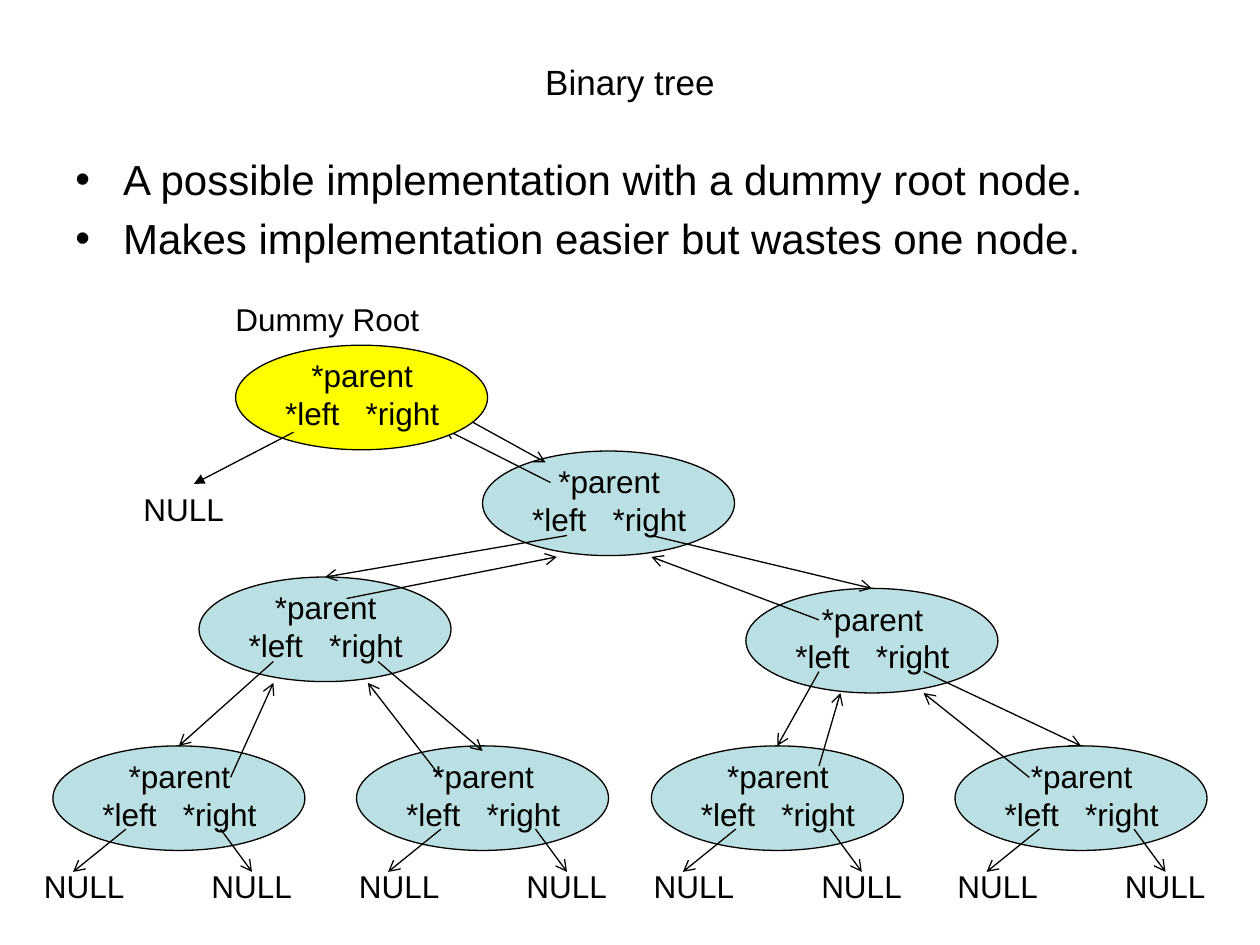
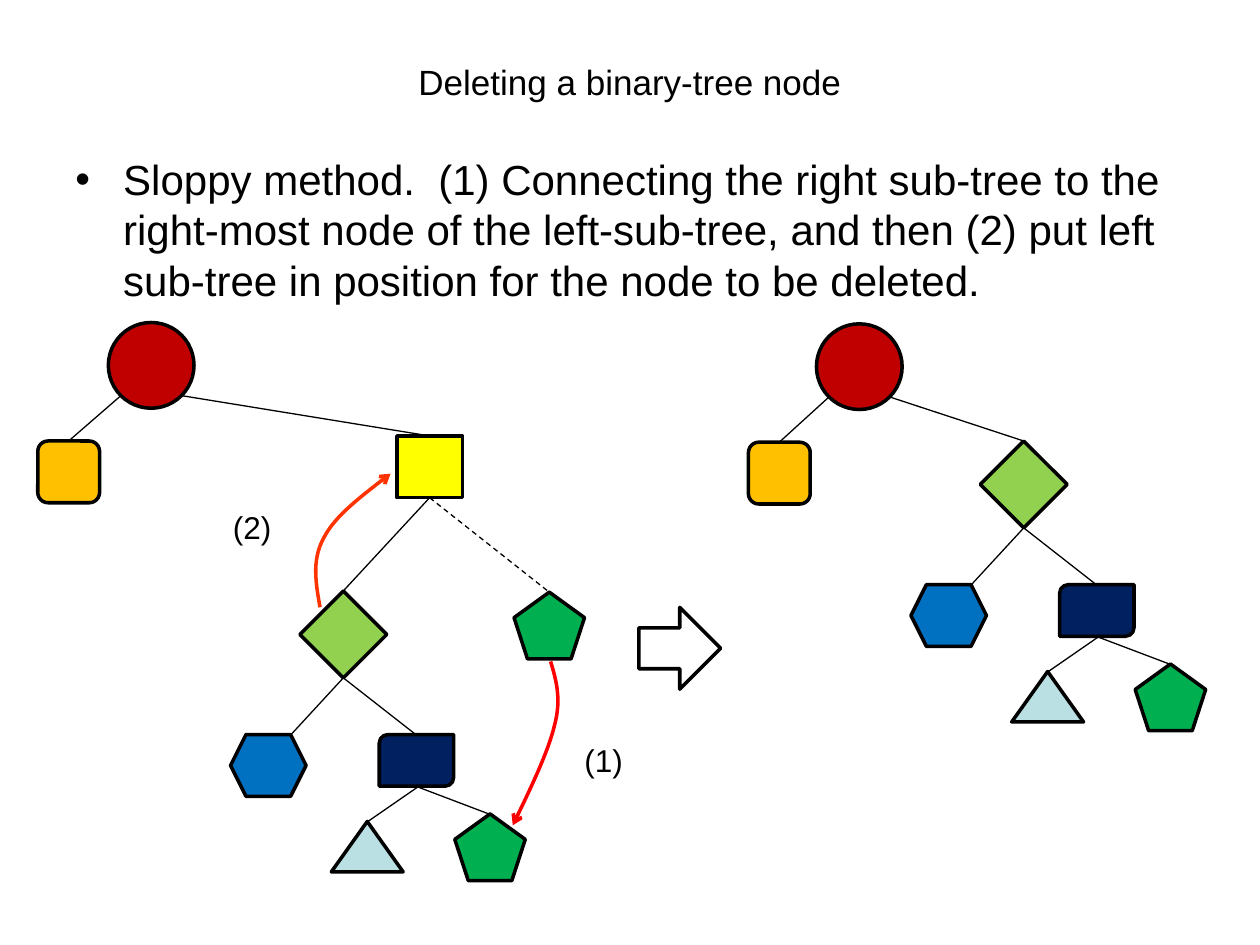
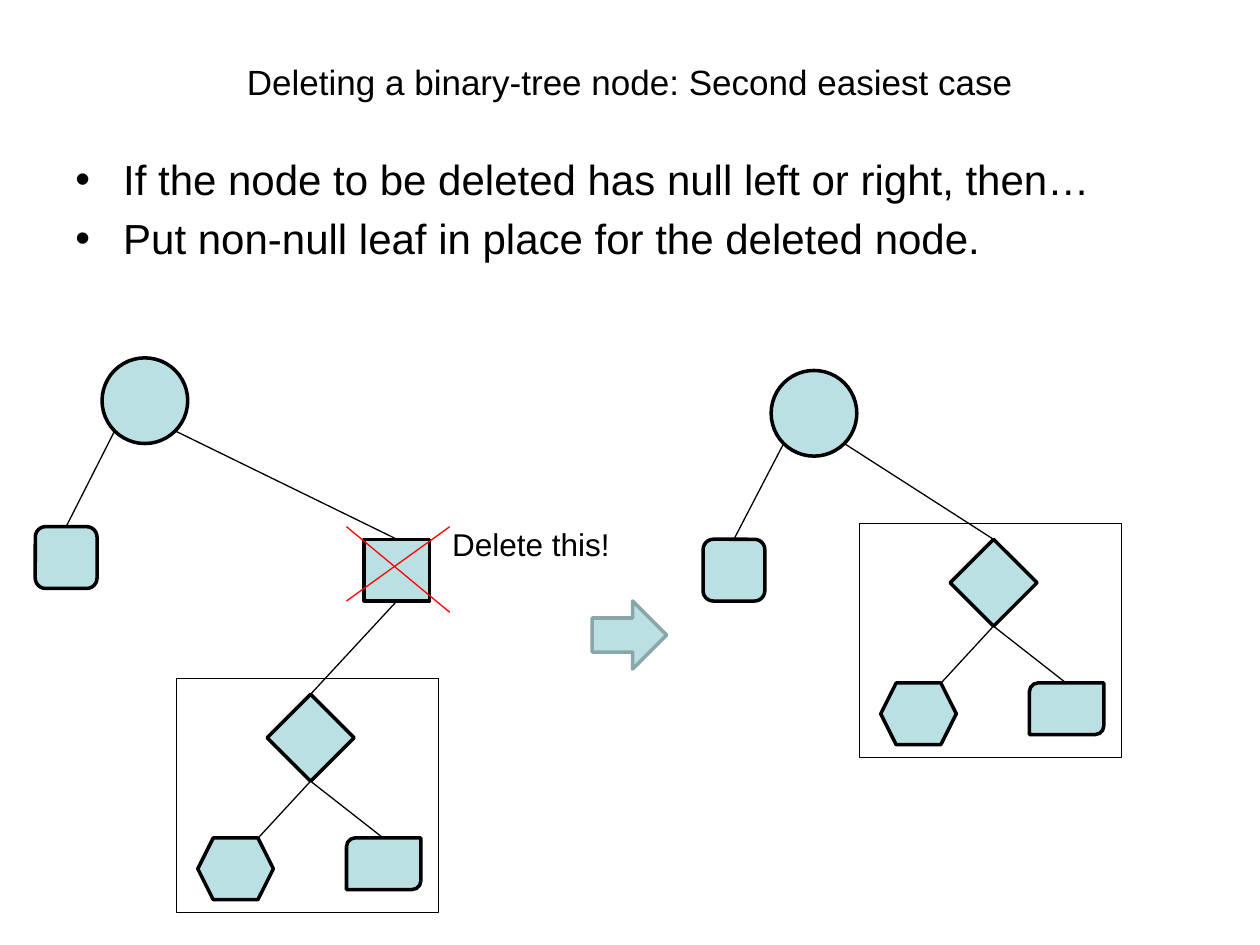
import pptx
import pptx.dml.color
import pptx.enum.dml
import pptx.enum.shapes
import pptx.enum.text
import pptx.oxml.ns
import pptx.util
from lxml import etree

Inches = pptx.util.Inches
Kind = pptx.enum.shapes.MSO_SHAPE
Align = pptx.enum.text.PP_ALIGN
qn = pptx.oxml.ns.qn

# Shared style
FONT = "Arial"
BLACK, PALE, YELLOW, RED, ORANGE = "000000", "BBE0E3", "FFFF00", "FF0000", "FF3300"
THIN, THICK, HAIRLINE = 0.75, 2, 0.25
TOP, BOTTOM = 0, 2
TREE_COLOURS = {
    Kind.OVAL: "C00000",
    Kind.ROUNDED_RECTANGLE: "FFC000",
    Kind.RECTANGLE: YELLOW,
    Kind.DIAMOND: "92D050",
    Kind.HEXAGON: "0070C0",
    Kind.ROUND_2_DIAG_RECTANGLE: "002060",
    Kind.REGULAR_PENTAGON: "00B050",
    Kind.ISOSCELES_TRIANGLE: PALE,
}
PLAIN_COLOURS = dict.fromkeys(TREE_COLOURS, PALE)
NODE_SIZES = {
    Kind.OVAL: (0.68, 0.68),
    Kind.ROUNDED_RECTANGLE: (0.49, 0.49),
    Kind.RECTANGLE: (0.52, 0.49),
    Kind.DIAMOND: (0.69, 0.69),
    Kind.HEXAGON: (0.6, 0.49),
    Kind.ROUND_2_DIAG_RECTANGLE: (0.59, 0.41),
    Kind.REGULAR_PENTAGON: (0.56, 0.53),
    Kind.ISOSCELES_TRIANGLE: (0.57, 0.4),
}


def colour(value):
    return pptx.dml.color.RGBColor.from_string(value)


# Text
def add_text(slide, left, top, width, height, lines, size=18, align=Align.LEFT,
             wrap=True, grow=True):
    box = slide.shapes.add_textbox(*map(Inches, (left, top, width, height)))
    frame = box.text_frame
    frame.word_wrap = wrap
    if grow:
        frame.auto_size = pptx.enum.text.MSO_AUTO_SIZE.SHAPE_TO_FIT_TEXT
    for number, line in enumerate(lines):
        para = frame.add_paragraph() if number else frame.paragraphs[0]
        para.alignment = align
        span = para.add_run()
        span.text = line
        span.font.name = FONT
        span.font.size = pptx.util.Pt(size)
        span.font.color.rgb = colour(BLACK)
    return frame


def add_bullet(para):
    para.space_before = pptx.util.Pt(4.8)
    properties = para._p.get_or_add_pPr()
    properties.set("marL", str(Inches(0.38)))
    properties.set("indent", str(-Inches(0.38)))
    etree.SubElement(properties, qn("a:buFont")).set("typeface", FONT)
    etree.SubElement(properties, qn("a:buChar")).set("char", "•")


def add_page(deck, title, bullets):
    page = deck.slides.add_slide(deck.slide_layouts[6])
    heading = add_text(page, 0.5, 0.3, 9, 0.7, [title], 20, Align.CENTER, grow=False)
    heading.vertical_anchor = pptx.enum.text.MSO_ANCHOR.MIDDLE
    body = add_text(page, 0.5, 1.17, 9, 5.53, bullets, 24, grow=False)
    for para in body.paragraphs:
        add_bullet(para)
    return page


# Shapes and lines
def style_shape(shape, fill, line, weight):
    shape.shadow.inherit = False
    if fill:
        shape.fill.solid()
        shape.fill.fore_color.rgb = colour(fill)
    else:
        shape.fill.background()
    style_line(shape, line, weight)


def style_line(shape, line, weight):
    shape.line.color.rgb = colour(line)
    shape.line.width = pptx.util.Pt(weight)


def add_arrowhead(shape, head):
    outline = shape._element.spPr.find(qn("a:ln"))
    etree.SubElement(outline, qn("a:tailEnd")).set("type", head)


def add_shape(page, kind, left, top, width, height, fill=None, line=BLACK, weight=THICK):
    shape = page.shapes.add_shape(kind, *map(Inches, (left, top, width, height)))
    style_shape(shape, fill, line, weight)
    return shape


def add_line(page, start, end, line=BLACK, head=None, dashed=False,
             start_shape=None, end_shape=None):
    """Joins the bottom of start_shape and the top of end_shape when given."""
    connector = page.shapes.add_connector(
        pptx.enum.shapes.MSO_CONNECTOR.STRAIGHT, *map(Inches, (*start, *end)))
    if start_shape is not None:
        connector.begin_connect(start_shape, BOTTOM)
    if end_shape is not None:
        connector.end_connect(end_shape, TOP)
    style_line(connector, line, THIN)
    if dashed:
        connector.line.dash_style = pptx.enum.dml.MSO_LINE.DASH
    if head:
        add_arrowhead(connector, head)
    etree.SubElement(connector._element.spPr, qn("a:effectLst"))


def bezier_points(start, control_1, control_2, end, steps=16):
    for step in range(1, steps + 1):
        t = step / steps
        weights = ((1 - t) ** 3, 3 * t * (1 - t) ** 2, 3 * t * t * (1 - t), t ** 3)
        corners = (start, control_1, control_2, end)
        yield tuple(Inches(sum(w * corner[axis] for w, corner in zip(weights, corners)))
                    for axis in (0, 1))


def add_curved_arrow(page, line, first, *rest):
    """Draws chained cubic curves; each takes three of the remaining points."""
    builder = page.shapes.build_freeform(*map(Inches, first))
    chain = (first, *rest)
    for index in range(0, len(rest), 3):
        builder.add_line_segments(list(bezier_points(*chain[index:index + 4])), close=False)
    curve = builder.convert_to_shape()
    style_shape(curve, None, line, THICK)
    add_arrowhead(curve, "arrow")


# Pointer nodes
def add_pointer_node(page, left, top, fill=PALE):
    add_shape(page, Kind.OVAL, left, top, 2, 0.83, fill, weight=THIN)
    add_text(page, left + 0.17, top + 0.04, 1.67, 0.71,
             ["*parent", "*left   *right"], align=Align.CENTER)


def add_null(page, left, top):
    add_text(page, left, top, 1, 0.42, ["NULL"])


def add_null_children(page, left):
    for start, end, label in ((0.67, 0.25, -0.08), (1.42, 1.67, 1.25)):
        add_line(page, (left + start, 6.58), (left + end, 6.92), head="arrow")
        add_null(page, left + label, 6.83)


# Tree parts
def add_node(page, kind, left, top, colours):
    return add_shape(page, kind, left, top, *NODE_SIZES[kind], colours[kind])


def add_root(page, left, top, leaf_at, child, child_at, colours):
    """Draws the root with its left leaf, and links it to the right child."""
    add_node(page, Kind.OVAL, left, top, colours)
    leaf = add_node(page, Kind.ROUNDED_RECTANGLE, *leaf_at, colours)
    right = add_node(page, child, *child_at, colours)
    for offset, node in ((0.1, leaf), (0.58, right)):
        start = (left + offset, top + 0.58)
        add_line(page, start, start, end_shape=node)
    return right


def add_children(page, diamond, left, top, colours):
    add_node(page, Kind.HEXAGON, left - 0.55, top + 1.14, colours)
    add_node(page, Kind.ROUND_2_DIAG_RECTANGLE, left + 0.63, top + 1.14, colours)
    for end in (-0.07, 0.92):
        add_line(page, (left + 0.35, top + 0.69), (left + end, top + 1.14),
                 start_shape=diamond)


def add_grandchildren(page, left, top, colours):
    add_node(page, Kind.REGULAR_PENTAGON, left + 1.23, top + 1.77, colours)
    add_line(page, (left + 0.92, top + 1.55), (left + 1.5, top + 1.77))
    add_line(page, (left + 0.93, top + 1.56), (left + 0.54, top + 1.83))
    add_node(page, Kind.ISOSCELES_TRIANGLE, left + 0.25, top + 1.83, colours)


# Slides
def build_dummy_root(deck):
    page = add_page(deck, "Binary tree", [
        "A possible implementation with a dummy root node.",
        "Makes implementation easier but wastes one node."])
    for left, top in ((3.83, 3.58), (1.58, 4.58), (5.92, 4.67),
                      (0.42, 5.92), (2.83, 5.92), (5.17, 5.92), (7.58, 5.92)):
        add_pointer_node(page, left, top)
    arrows = (
        # Dummy root and top node
        ((4.37, 3.83), (3.52, 3.4)), ((3.75, 3.35), (4.33, 3.67)),
        # Top node and its children
        ((4.5, 4.25), (2.58, 4.58)), ((5.17, 4.25), (6.92, 4.67)),
        ((2.75, 4.75), (4.42, 4.42)), ((6.5, 4.92), (5.17, 4.42)),
        # Left node and its children
        ((2.17, 5.25), (1.42, 5.92)), ((3, 5.25), (3.83, 5.96)),
        ((1.83, 6.17), (2.17, 5.42)), ((3.5, 6.17), (2.92, 5.42)),
        # Right node and its children
        ((6.5, 5.33), (6.17, 5.92)), ((7.33, 5.33), (8.58, 5.92)),
        ((6.5, 6.08), (6.67, 5.5)), ((8.17, 6.17), (7.33, 5.5)),
    )
    for start, end in arrows:
        add_line(page, start, end, head="arrow")
    for left in (0.33, 2.83, 5.17, 7.58):
        add_null_children(page, left)
    add_text(page, 1.77, 2.33, 1.67, 0.4, ["Dummy Root"], wrap=False)
    add_pointer_node(page, 1.87, 2.74, YELLOW)
    add_line(page, (2.33, 3.43), (1.54, 3.84), head="triangle")
    add_null(page, 1.04, 3.84)


def build_sloppy_method(deck):
    page = add_page(deck, "Deleting a binary-tree node", [
        "Sloppy method.  (1) Connecting the right sub-tree to the right-most node of "
        "the left-sub-tree, and then (2) put left sub-tree in position for the node "
        "to be deleted."])
    colours = TREE_COLOURS
    # Before
    deleted = add_root(page, 0.86, 2.56, (0.3, 3.5), Kind.RECTANGLE, (3.15, 3.46), colours)
    diamond = add_node(page, Kind.DIAMOND, 2.38, 4.69, colours)
    add_node(page, Kind.REGULAR_PENTAGON, 4.08, 4.7, colours)
    add_line(page, (3.41, 3.95), (2.73, 4.69), start_shape=deleted, end_shape=diamond)
    add_line(page, (3.41, 3.95), (4.36, 4.7), dashed=True, start_shape=deleted)
    add_children(page, diamond, 2.38, 4.69, colours)
    add_grandchildren(page, 2.38, 4.69, colours)
    # Steps
    add_curved_arrow(page, RED, (4.37, 5.25), (4.41, 5.39), (4.46, 5.54), (4.4, 5.76),
                     (4.35, 5.97), (4.21, 6.26), (4.07, 6.55))
    add_curved_arrow(page, ORANGE, (2.54, 4.82), (2.51, 4.64), (2.47, 4.45), (2.57, 4.27),
                     (2.66, 4.09), (2.88, 3.93), (3.1, 3.76))
    add_text(page, 4.54, 5.83, 0.68, 0.4, ["(1)"])
    add_text(page, 1.75, 3.98, 0.68, 0.4, ["(2)"])
    add_shape(page, Kind.RIGHT_ARROW, 5.07, 4.82, 0.65, 0.65)
    # After
    diamond = add_root(page, 6.48, 2.57, (5.94, 3.51), Kind.DIAMOND, (7.78, 3.5), colours)
    add_children(page, diamond, 7.78, 3.5, colours)
    add_grandchildren(page, 7.78, 3.5, colours)


def build_second_easiest(deck):
    page = add_page(deck, "Deleting a binary-tree node: Second easiest case", [
        "If the node to be deleted has null left or right, then…",
        "Put non-null leaf in place for the deleted node."])
    colours = PLAIN_COLOURS
    # Before
    deleted = add_root(page, 0.81, 2.84, (0.28, 4.18), Kind.RECTANGLE, (2.89, 4.28), colours)
    diamond = add_node(page, Kind.DIAMOND, 2.12, 5.51, colours)
    add_line(page, (3.15, 4.77), (2.47, 5.51), start_shape=deleted, end_shape=diamond)
    add_children(page, diamond, 2.12, 5.51, colours)
    add_text(page, 3.49, 4.12, 2.25, 0.4, ["Delete this!"])
    add_shape(page, Kind.RIGHT_ARROW, 4.7, 4.77, 0.59, 0.54, PALE, "8AA6A8")
    # After
    diamond = add_root(page, 6.12, 2.94, (5.58, 4.28), Kind.DIAMOND, (7.54, 4.28), colours)
    add_children(page, diamond, 7.54, 4.28, colours)
    # Frames around the moved sub-tree, and the cross
    for left, top in ((1.4, 5.38), (6.82, 4.15)):
        add_shape(page, Kind.RECTANGLE, left, top, 2.08, 1.86, weight=HAIRLINE)
    add_line(page, (2.75, 4.18), (3.57, 4.86), RED)
    add_line(page, (2.75, 4.77), (3.57, 4.18), RED)


def main():
    deck = pptx.Presentation()
    deck.slide_width, deck.slide_height = Inches(10), Inches(7.5)
    build_dummy_root(deck)
    build_sloppy_method(deck)
    build_second_easiest(deck)
    deck.save("out.pptx")


if __name__ == "__main__":
    main()
